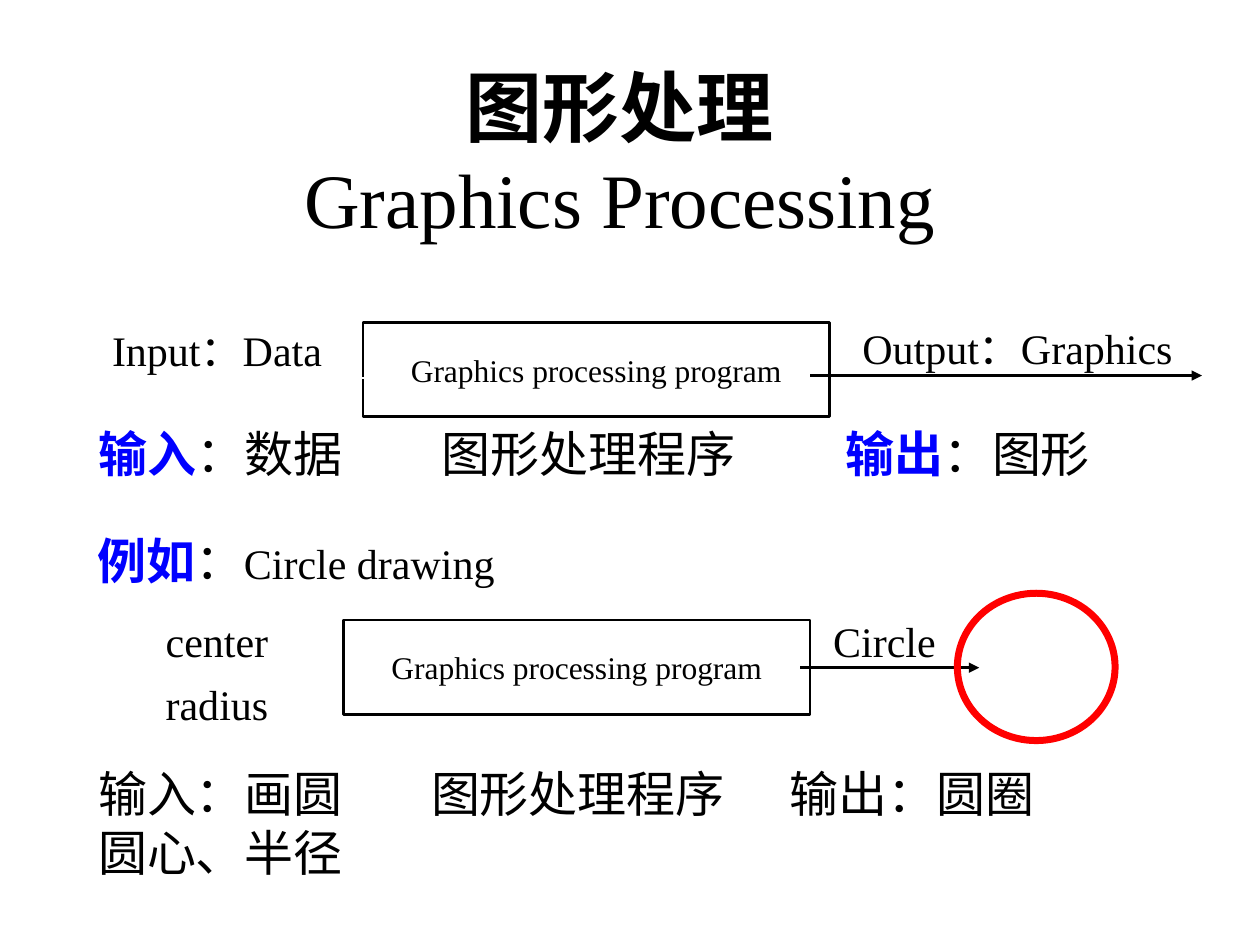
from dataclasses import dataclass
from typing import NamedTuple

from lxml.etree import SubElement
from pptx import Presentation
from pptx.dml.color import RGBColor
from pptx.enum.shapes import MSO_CONNECTOR, MSO_SHAPE
from pptx.enum.text import MSO_ANCHOR, PP_ALIGN
from pptx.oxml.ns import qn
from pptx.util import Cm, Pt


@dataclass(frozen=True)
class Theme:
    black: RGBColor = RGBColor(0, 0, 0)
    white: RGBColor = RGBColor(255, 255, 255)
    blue: RGBColor = RGBColor(0, 0, 255)
    red: RGBColor = RGBColor(255, 0, 0)
    serif: str = "Times New Roman"
    sans: str = "Arial"
    title: int = 44
    chinese: int = 28
    label: int = 24
    program: int = 18
    line: float = 1.5
    circle: float = 4


THEME = Theme()


class Box(NamedTuple):
    left: float
    top: float
    width: float
    height: float


class Span(NamedTuple):
    text: str
    size: int = THEME.chinese
    key: bool = False  # bold blue keyword


class Arrow(NamedTuple):
    start: float
    end: float
    y: float
    color: RGBColor = THEME.black


class Label(NamedTuple):
    text: str
    box: Box


class Row(NamedTuple):
    box: Box
    tabs: tuple[float, float]
    lines: list[list[Span]]


def lengths(box: Box) -> list[Cm]:
    return [Cm(value) for value in box]


def remove_insets(text_frame) -> None:
    text_frame.margin_left = text_frame.margin_right = 0
    text_frame.margin_top = text_frame.margin_bottom = 0


def style(font, size: int, name: str = THEME.serif, color: RGBColor = THEME.black,
          bold: bool = False) -> None:
    font.size, font.name, font.bold = Pt(size), name, bold
    font.color.rgb = color


def add_spans(paragraph, spans: list[Span], name: str) -> None:
    for span in spans:
        run = paragraph.add_run()
        run.text = span.text
        style(run.font, span.size, name, THEME.blue if span.key else THEME.black, span.key)


def add_text_box(slide, box: Box):
    text_frame = slide.shapes.add_textbox(*lengths(box)).text_frame
    text_frame.word_wrap = True
    return text_frame


def add_label(slide, label: Label) -> None:
    text_frame = add_text_box(slide, label.box)
    remove_insets(text_frame)
    text_frame.text = label.text
    paragraph = text_frame.paragraphs[0]
    paragraph.alignment = PP_ALIGN.CENTER
    style(paragraph.runs[0].font, THEME.label)


def add_outline(slide, kind: MSO_SHAPE, box: Box, color: RGBColor, width: float):
    shape = slide.shapes.add_shape(kind, *lengths(box))
    shape.shadow.inherit = False
    shape.fill.background()
    shape.line.color.rgb = color
    shape.line.width = Pt(width)
    return shape


def add_program(slide, box: Box) -> None:
    shape = add_outline(slide, MSO_SHAPE.RECTANGLE, box, THEME.black, THEME.line)
    text_frame = shape.text_frame
    remove_insets(text_frame)
    text_frame.word_wrap = False
    text_frame.vertical_anchor = MSO_ANCHOR.MIDDLE
    text_frame.text = "Graphics processing program"
    paragraph = text_frame.paragraphs[0]
    paragraph.alignment = PP_ALIGN.CENTER
    style(paragraph.runs[0].font, THEME.program)


def add_arrow(slide, arrow: Arrow) -> None:
    connector = slide.shapes.add_connector(
        MSO_CONNECTOR.STRAIGHT, Cm(arrow.start), Cm(arrow.y), Cm(arrow.end), Cm(arrow.y))
    connector.line.color.rgb = arrow.color
    connector.line.width = Pt(THEME.line)
    SubElement(connector.line._get_or_add_ln(), qn("a:tailEnd"), type="triangle")
    SubElement(connector._element.spPr, qn("a:effectLst"))


def add_row(slide, row: Row) -> None:
    text_frame = add_text_box(slide, row.box)
    for index, spans in enumerate(row.lines):
        paragraph = text_frame.add_paragraph() if index else text_frame.paragraphs[0]
        tab_list = SubElement(paragraph._p.get_or_add_pPr(), qn("a:tabLst"))
        for position in row.tabs:
            SubElement(tab_list, qn("a:tab"), pos=str(Cm(position)), algn="l")
        add_spans(paragraph, spans, THEME.sans)


def add_title(slide) -> None:
    title = slide.shapes.title
    title.left, title.top, title.width, title.height = lengths(Box(1.07, 1.19, 22.86, 3.18))
    text_frame = title.text_frame
    remove_insets(text_frame)
    text_frame.vertical_anchor = MSO_ANCHOR.TOP
    text_frame.text = "图形处理\vGraphics Processing"
    paragraph = text_frame.paragraphs[0]
    paragraph.alignment = PP_ALIGN.CENTER
    for run, bold in zip(paragraph.runs, (True, False)):
        style(run.font, THEME.title, bold=bold)


PROGRAMS = [Box(7.32, 6.5, 9.4, 1.9), Box(6.93, 12.5, 9.4, 1.9)]
ARROWS = [
    Arrow(1.09, 7.65, 7.62, THEME.white),
    Arrow(16.33, 24.23, 7.57),
    Arrow(16.13, 19.74, 13.46),
]
LABELS = [
    Label("Input：Data", Box(1.3, 6.55, 6.15, 1.02)),
    Label("Output：Graphics", Box(17.02, 6.5, 6.98, 1.02)),
    Label("center", Box(1.3, 12.4, 6.15, 1.02)),
    Label("radius", Box(1.3, 13.67, 6.15, 1.02)),
    Label("Circle", Box(16.23, 12.4, 3.2, 1.02)),
]
ROWS = [
    Row(Box(1.73, 8.41, 22.78, 1.45), (6.93, 15.06),
        [[Span("输入", key=True), Span("：数据\t图形处理程序\t"),
          Span("输出", key=True), Span("：图形")]]),
    Row(Box(1.73, 15.27, 22.78, 2.64), (6.71, 13.94),
        [[Span("输入：画圆\t图形处理程序\t输出：圆圈")], [Span("圆心、半径")]]),
]


def main() -> None:
    presentation = Presentation()
    presentation.slide_width, presentation.slide_height = Cm(25.4), Cm(19.05)
    slide = presentation.slides.add_slide(presentation.slide_layouts[5])
    add_title(slide)

    # Processing flows: program boxes, arrows and their labels
    for box in PROGRAMS:
        add_program(slide, box)
    for arrow in ARROWS:
        add_arrow(slide, arrow)
    for label in LABELS:
        add_label(slide, label)

    # Example heading and the circle it draws
    example = add_text_box(slide, Box(1.96, 10.69, 8.45, 1.19))
    remove_insets(example)
    add_spans(example.paragraphs[0],
              [Span("例如", key=True), Span("："), Span("Circle drawing", THEME.label)],
              THEME.serif)
    add_outline(slide, MSO_SHAPE.OVAL, Box(19.3, 11.96, 3.18, 2.97), THEME.red, THEME.circle)

    # Chinese captions under each flow
    for row in ROWS:
        add_row(slide, row)
    presentation.save("out.pptx")


if __name__ == "__main__":
    main()
